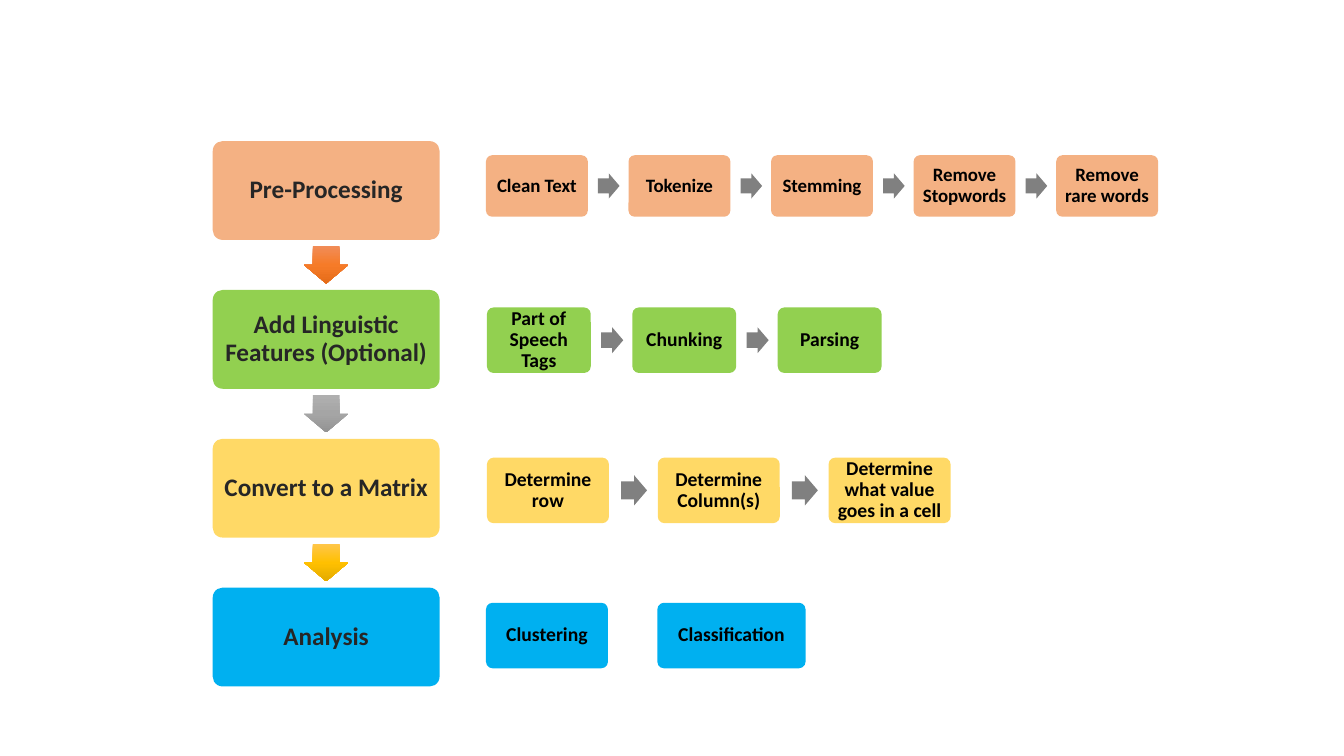
from copy import deepcopy
from dataclasses import dataclass

from pptx import Presentation
from pptx.dml.color import RGBColor
from pptx.enum.shapes import MSO_SHAPE
from pptx.enum.text import MSO_ANCHOR, PP_ALIGN
from pptx.util import Inches, Pt

ROUNDED = MSO_SHAPE.ROUNDED_RECTANGLE
ARROW = MSO_SHAPE.RIGHT_ARROW
MIDDLE = MSO_ANCHOR.MIDDLE
CENTER = PP_ALIGN.CENTER


@dataclass(frozen=True)
class Theme:
    """Colours, font and type sizes of the slide."""
    font: str = "Calibri"
    orange: str = "F4B183"
    green: str = "92D050"
    yellow: str = "FFD966"
    blue: str = "00B0F0"
    step_arrow: str = "808080"
    stage_text: str = "262626"
    step_text: str = "000000"
    stage_size: float = 18
    step_size: float = 14
    small_step_size: float = 13.5
    stage_arrows: tuple = (
        ("F18C57", "F67B28", "E56C19"),
        ("AFAFAF", "A5A5A5", "939393"),
        ("FFC64B", "FFC000", "E3AB00"),
    )


THEME = Theme()

STAGE_LEFT, STAGE_TOP, STAGE_WIDTH, STAGE_HEIGHT = 2.11, 1.4, 2.25, 0.98
STAGE_PITCH = (5.83 - STAGE_TOP) / 3
STAGES = (
    ("Pre-Processing", THEME.orange),
    ("Add Linguistic Features (Optional)", THEME.green),
    ("Convert to a Matrix", THEME.yellow),
    ("Analysis", THEME.blue),
)

# Each chain: labels, colour, left, top, box width, box height, type size
CHAINS = (
    (("Clean Text", "Tokenize", "Stemming", "Remove Stopwords", "Remove rare words"),
     THEME.orange, 4.82, 1.54, 1.01, 0.61, THEME.small_step_size),
    (("Part of Speech Tags", "Chunking", "Parsing"),
     THEME.green, 4.83, 3.05, 1.03, 0.65, THEME.step_size),
    (("Determine row", "Determine Column(s)", "Determine what value goes in a cell"),
     THEME.yellow, 4.83, 4.54, 1.21, 0.65, THEME.step_size),
)

# Analysis methods stand alone: label, left, width
METHODS = (("Clustering", 4.82, 1.21), ("Classification", 6.52, 1.47))
METHOD_TOP, METHOD_HEIGHT = 5.98, 0.65


def add_plain_shape(slide, kind, left, top, width, height, color):
    """Add a preset shape with a solid fill, no outline and no shadow."""
    shape = slide.shapes.add_shape(
        kind, Inches(left), Inches(top), Inches(width), Inches(height))
    shape.shadow.inherit = False
    shape.line.fill.background()
    shape.fill.solid()
    shape.fill.fore_color.rgb = RGBColor.from_string(color)
    return shape


def set_text(shape, text, *, size, color, inset):
    """Write bold centred text into a shape."""
    frame = shape.text_frame
    frame.word_wrap = True
    frame.vertical_anchor = MIDDLE
    frame.margin_left = frame.margin_right = Inches(inset)
    frame.margin_top = frame.margin_bottom = Inches(inset)
    paragraph = frame.paragraphs[0]
    paragraph.alignment = CENTER
    paragraph.line_spacing = 0.9
    run = paragraph.add_run()
    run.text = text
    run.font.name = THEME.font
    run.font.size = Pt(size)
    run.font.bold = True
    run.font.color.rgb = RGBColor.from_string(color)


def add_box(slide, text, left, top, width, height, fill, **text_format):
    """Add a rounded box with a label."""
    box = add_plain_shape(slide, ROUNDED, left, top, width, height, fill)
    box.adjustments[0] = 0.1
    set_text(box, text, **text_format)


def add_arrow(slide, center_x, center_y, length, breadth, color):
    """Add a right arrow around a centre point."""
    arrow = add_plain_shape(slide, ARROW, center_x - length / 2,
                            center_y - breadth / 2, length, breadth, color)
    arrow.adjustments[0] = 0.6
    arrow.adjustments[1] = 0.5
    return arrow


def set_vertical_gradient(shape, colors):
    """Fill a shape from top to bottom with three evenly spaced colours."""
    shape.fill.gradient()
    shape.fill.gradient_angle = 270
    gradient = shape.fill._xPr.gradFill
    gradient.set("rotWithShape", "0")
    stop_list = gradient.gsLst
    stop_list.insert(1, deepcopy(stop_list[0]))
    for index, (stop, color) in enumerate(zip(shape.fill.gradient_stops, colors)):
        stop.position = index / 2
        stop.color.rgb = RGBColor.from_string(color)


def add_stages(slide):
    """Add the column of stages with a down arrow in each gap."""
    for index, (label, fill) in enumerate(STAGES):
        top = STAGE_TOP + index * STAGE_PITCH
        add_box(slide, label, STAGE_LEFT, top, STAGE_WIDTH, STAGE_HEIGHT, fill,
                size=THEME.stage_size, color=THEME.stage_text, inset=0.07)
    for index, colors in enumerate(THEME.stage_arrows):
        gap_middle = STAGE_TOP + index * STAGE_PITCH + (STAGE_HEIGHT + STAGE_PITCH) / 2
        arrow = add_arrow(slide, STAGE_LEFT + STAGE_WIDTH / 2, gap_middle,
                          0.37, 0.44, colors[0])
        arrow.rotation = 90
        set_vertical_gradient(arrow, colors)


def add_step(slide, text, left, top, width, height, fill, size):
    """Add one small step box."""
    add_box(slide, text, left, top, width, height, fill,
            size=size, color=THEME.step_text, inset=0.05)


def add_chain(slide, labels, fill, left, top, width, height, size):
    """Add a row of steps; gaps and arrows scale with the box width."""
    pitch = 1.4 * width
    for index, label in enumerate(labels):
        step_left = left + index * pitch
        if index:
            add_arrow(slide, step_left - 0.194 * width, top + height / 2,
                      0.212 * width, 0.248 * width, THEME.step_arrow)
        add_step(slide, label, step_left, top, width, height, fill, size)


def main():
    """Build the text analysis workflow slide."""
    presentation = Presentation()
    presentation.slide_width = Inches(13.33)
    presentation.slide_height = Inches(7.5)
    slide = presentation.slides.add_slide(presentation.slide_layouts[6])
    add_stages(slide)
    for chain in CHAINS:
        add_chain(slide, *chain)
    for label, left, width in METHODS:
        add_step(slide, label, left, METHOD_TOP, width, METHOD_HEIGHT,
                 THEME.blue, THEME.step_size)
    presentation.save("out.pptx")


main()
